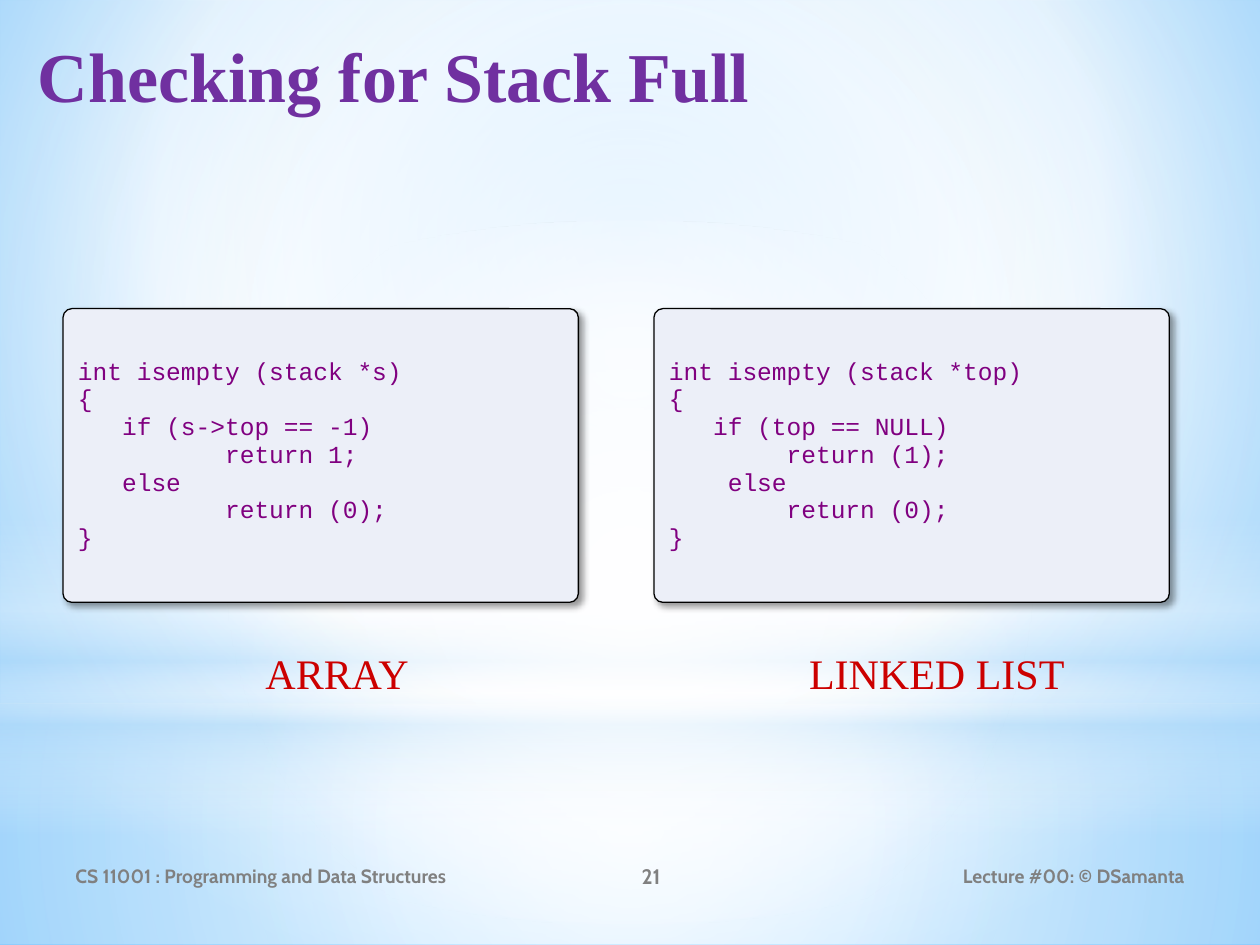
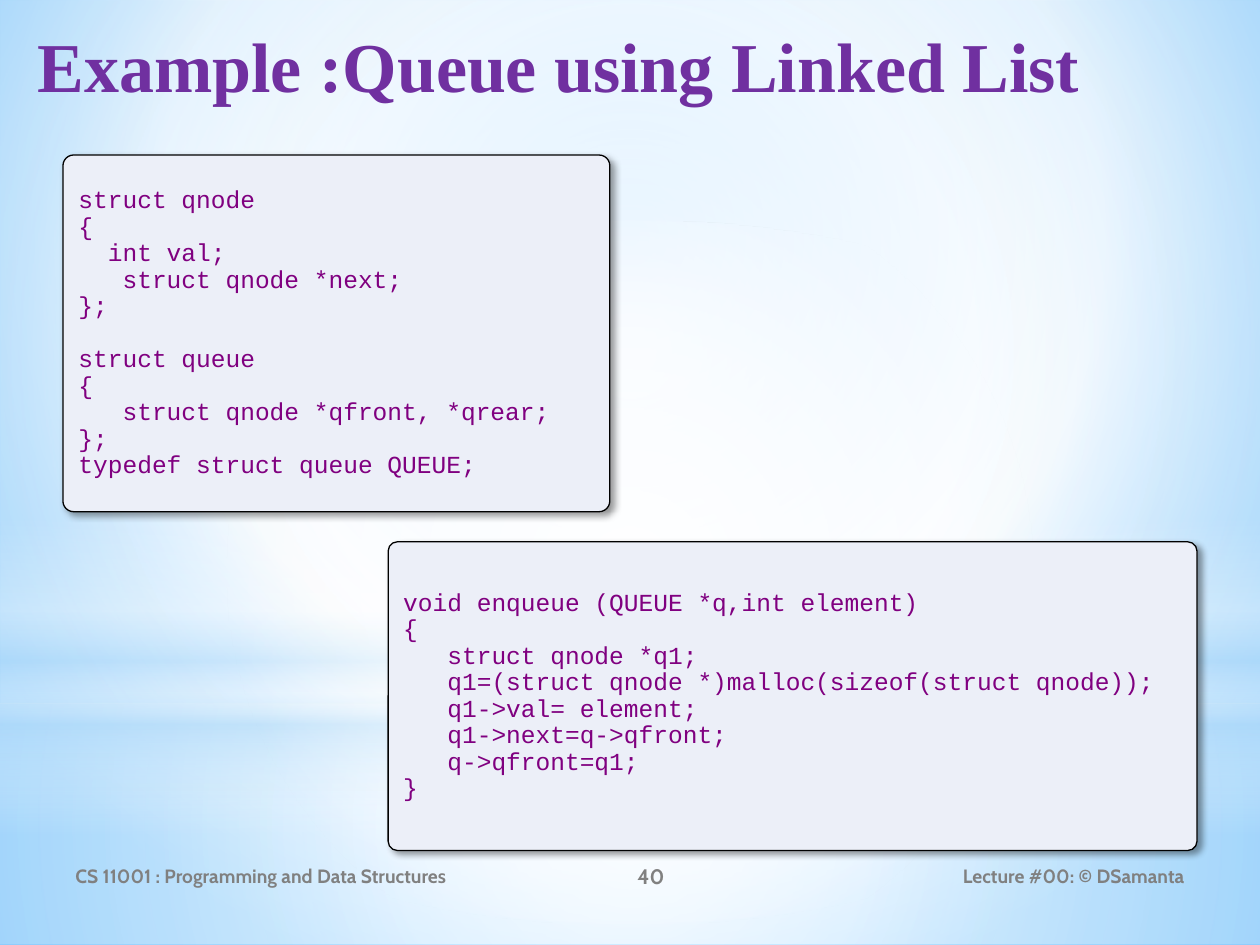
from pptx import Presentation
from pptx.dml.color import RGBColor
from pptx.enum.shapes import MSO_SHAPE as Shape
from pptx.enum.text import MSO_ANCHOR as Anchor, MSO_AUTO_SIZE as AutoSize, PP_ALIGN as Align
from pptx.oxml import parse_xml
from pptx.oxml.ns import nsdecls, qn
from pptx.util import Pt

PURPLE = RGBColor(0x70, 0x30, 0xA0)
CODE_PURPLE = RGBColor(0x80, 0x00, 0x80)
CAPTION_RED = RGBColor(0xCC, 0x00, 0x00)
FOOTER_GRAY = RGBColor(0x80, 0x80, 0x80)
PANEL_FILL = RGBColor(0xEC, 0xEF, 0xF8)
BLACK = RGBColor(0x00, 0x00, 0x00)
WHITE = RGBColor(0xFF, 0xFF, 0xFF)
PALE_BLUE = RGBColor(0xB4, 0xDC, 0xFA)
SKY_BLUE = RGBColor(0x9E, 0xD5, 0xFF)
DEEP_BLUE = RGBColor(0x5B, 0xB9, 0xFF)

SERIF, MONO, FOOTER_FONT = "Times New Roman", "Courier New", "Cabin"
CENTER = (50, 50, 50, 50)


def set_gradient(element, stops, focus=None):
    """Replace the first gradient: stops are (position, colour, opacity), all in percent."""
    stop_xml = "".join(
        f'<a:gs pos="{position * 1000}"><a:srgbClr val="{color}">'
        f'<a:alpha val="{opacity * 1000}"/></a:srgbClr></a:gs>'
        for position, color, opacity in stops)
    if focus:
        left, top, right, bottom = (edge * 1000 for edge in focus)
        direction = (f'<a:path path="circle"><a:fillToRect l="{left}" t="{top}" '
                     f'r="{right}" b="{bottom}"/></a:path>')
    else:
        direction = '<a:lin ang="5400000" scaled="0"/>'
    gradient = element.find(".//" + qn("a:gradFill"))
    gradient.getparent().replace(gradient, parse_xml(
        f'<a:gradFill {nsdecls("a")} rotWithShape="1">'
        f'<a:gsLst>{stop_xml}</a:gsLst>{direction}</a:gradFill>'))


def add_label(slide, box, text, font_name, size, color, align, bold=False):
    label = slide.shapes.add_textbox(*map(Pt, box))
    label.text_frame.word_wrap = True
    paragraph = label.text_frame.paragraphs[0]
    paragraph.text = text
    paragraph.alignment = align
    font = paragraph.font
    font.name, font.size, font.bold = font_name, Pt(size), bold
    font.color.rgb = color
    return label


# Slide content: panels are (box, space between lines, code)
ARRAY_CODE = """\
int isempty (stack *s)
{
   if (s->top == -1)
          return 1;
   else
          return (0);
}"""
LIST_CODE = """\
int isempty (stack *top)
{
   if (top == NULL)
        return (1);
    else
        return (0);
}"""
QUEUE_CODE = """\
struct qnode
{
  int val;
   struct qnode *next;
};

struct queue
{
   struct qnode *qfront, *qrear;
};
typedef struct queue QUEUE;"""
ENQUEUE_CODE = """\
void enqueue (QUEUE *q,int element)
{
   struct qnode *q1;
   q1=(struct qnode *)malloc(sizeof(struct qnode));
   q1->val= element;
   q1->next=q->qfront;
   q->qfront=q1;
}"""
SLIDES = [
    ("Checking for Stack Full", 15, "21",
     [((36, 176.4, 294.5, 167.8), 0.7, ARRAY_CODE),
      ((373.7, 176.4, 294.5, 167.8), 0.7, LIST_CODE)],
     [("ARRAY", 126.7, 131.8), ("LINKED LIST", 444.2, 182.2)]),
    ("Example :Queue using Linked List", 9.4, "40",
     [((36, 88.6, 312.5, 203.8), 0, QUEUE_CODE),
      ((221.8, 309.6, 462.2, 176.4), 0, ENQUEUE_CODE)],
     []),
]
BLANK_LINE = 15

presentation = Presentation()
presentation.slide_width, presentation.slide_height = Pt(720), Pt(540)
title_only = presentation.slide_layouts[5]
slides = [presentation.slides.add_slide(title_only) for _ in SLIDES]

# Shared background and light bands, placed on the master
master = presentation.slide_master
master.background.fill.gradient()
set_gradient(master.element, [(0, SKY_BLUE, 100), (60, WHITE, 100), (100, DEEP_BLUE, 100)],
             (20, 10, 20, 60))
bands = [
    (Shape.RECTANGLE, 402, 138,
     [(0, WHITE, 91), (37, WHITE, 76), (100, PALE_BLUE, 79)], CENTER),
    (Shape.RECTANGLE, 0, 402,
     [(0, WHITE, 89), (48, WHITE, 62), (100, PALE_BLUE, 79)], CENTER),
    (Shape.RECTANGLE, 296.6, 180,
     [(0, WHITE, 0), (29, WHITE, 30), (45, PALE_BLUE, 40), (55, WHITE, 26),
      (65, PALE_BLUE, 60), (100, WHITE, 0)], None),
    (Shape.OVAL, 126, 402, [(0, WHITE, 100), (56, WHITE, 0)], CENTER),
]
for index, (kind, top, height, stops, focus) in enumerate(bands):
    band = slides[0].shapes.add_shape(kind, 0, Pt(top), Pt(720), Pt(height))
    band.shadow.inherit = False
    band.line.fill.background()
    band.fill.gradient()
    set_gradient(band.element, stops, focus)
    band.element.nvSpPr.cNvPr.set("id", str(100 + index))
    master.shapes.element.insert(2 + index, band.element)

for slide, (title_text, title_top, number, panels, captions) in zip(slides, SLIDES):
    # Title
    title = slide.shapes.title
    title.left, title.top, title.width, title.height = map(Pt, (14.4, title_top, 686, 90))
    title.text_frame.auto_size = AutoSize.NONE
    title.text_frame.vertical_anchor = Anchor.TOP
    paragraph = title.text_frame.paragraphs[0]
    paragraph.text = title_text
    paragraph.alignment = Align.LEFT
    font = paragraph.font
    font.name, font.size, font.bold = SERIF, Pt(40), True
    font.color.rgb = PURPLE

    # Footer
    for text, left, width, size, align in [
            ("CS 11001 : Programming and Data Structures", 36, 264, 11, Align.LEFT),
            (number, 300, 144, 12, Align.CENTER),
            ("Lecture #00: © DSamanta", 486, 198, 11, Align.RIGHT)]:
        footer = add_label(slide, (left, 486, width, 28.8), text, FOOTER_FONT, size,
                           FOOTER_GRAY, align, bold=True)
        footer.text_frame.vertical_anchor = Anchor.MIDDLE

    # Code panels
    for box, line_gap, code in panels:
        panel = slide.shapes.add_shape(Shape.ROUNDED_RECTANGLE, *map(Pt, box))
        panel.adjustments[0] = 0.03
        panel.fill.solid()
        panel.fill.fore_color.rgb = PANEL_FILL
        panel.line.color.rgb = BLACK
        panel.line.width = Pt(0.75)
        panel.shadow.inherit = False
        panel.element.spPr.find(qn("a:effectLst")).append(parse_xml(
            f'<a:outerShdw {nsdecls("a")} blurRad="{Pt(4)}" dist="{Pt(3)}" dir="2700000" '
            f'algn="tl" rotWithShape="0"><a:srgbClr val="{BLACK}"><a:alpha val="40000"/>'
            '</a:srgbClr></a:outerShdw>'))
        frame = panel.text_frame
        frame.vertical_anchor = Anchor.MIDDLE
        gap = 0
        for index, line in enumerate(code.splitlines()):
            if not line:
                gap += BLANK_LINE
                continue
            paragraph = frame.add_paragraph() if index else frame.paragraphs[0]
            paragraph.text = line
            paragraph.alignment = Align.LEFT
            paragraph.line_spacing = 0.9
            paragraph.space_before = Pt(gap)
            paragraph.font.name, paragraph.font.size = MONO, Pt(14)
            paragraph.font.color.rgb = CODE_PURPLE
            gap = line_gap

    # Captions under the panels
    for text, left, width in captions:
        add_label(slide, (left, 366.5, width, 36), text, SERIF, 24, CAPTION_RED, Align.CENTER)

presentation.save("out.pptx")
